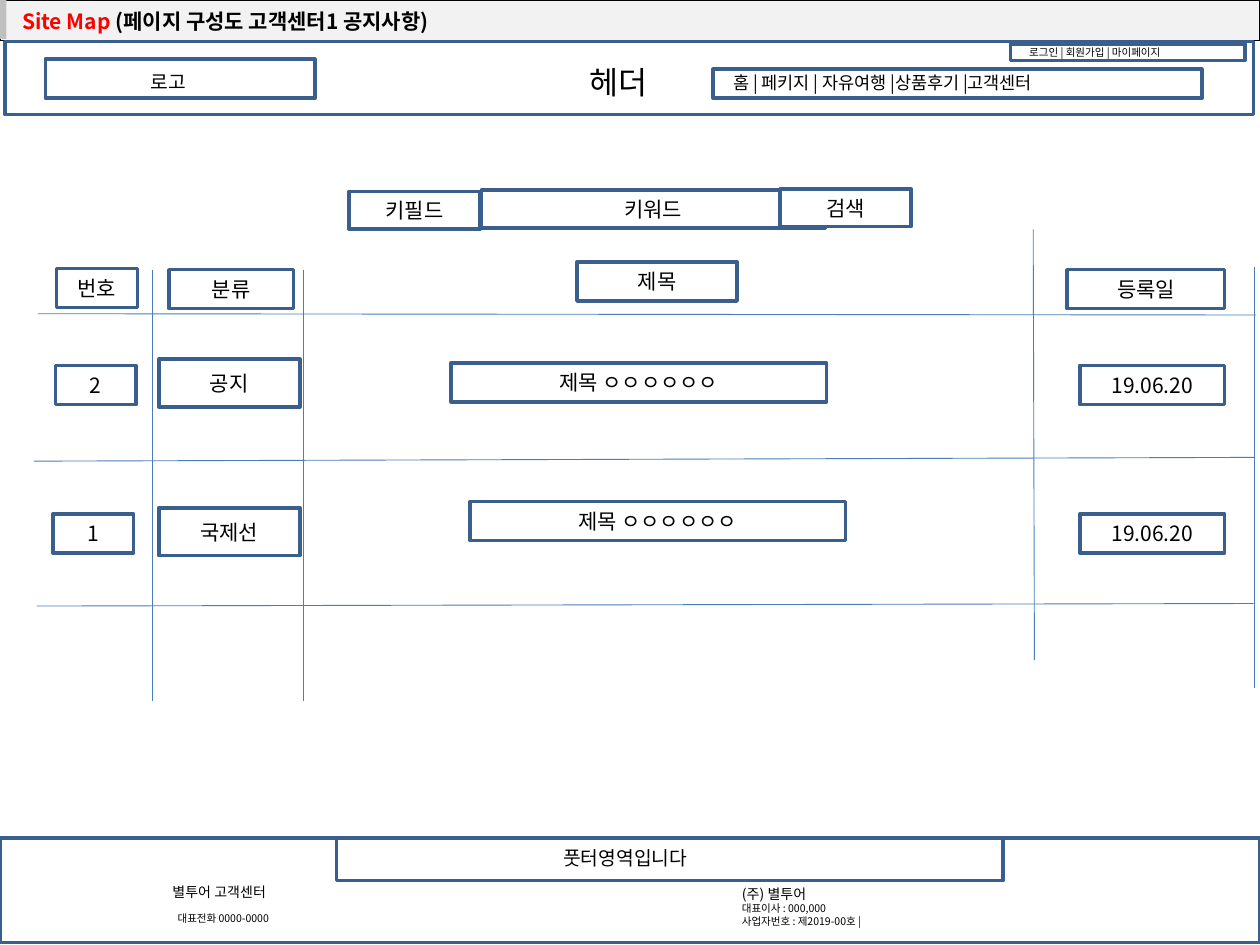
import pptx
import pptx.util
import pptx.dml.color
import pptx.enum.shapes
import pptx.enum.text
import pptx.oxml.ns
from lxml import etree

RGB = pptx.dml.color.RGBColor
BLACK = RGB(0, 0, 0)
WHITE = RGB(255, 255, 255)
RED = RGB(255, 0, 0)
PALE = RGB(0xF2, 0xF2, 0xF2)
GRAY = RGB(0xBF, 0xBF, 0xBF)
NAVY = RGB(0x3A, 0x5F, 0x8C)
BLUE = RGB(0x4A, 0x7E, 0xBB)

FONT = "Noto Sans CJK KR"
COLS, ROWS = 100, 75
Pt = pptx.util.Pt
ALIGN = pptx.enum.text.PP_ALIGN
ANCHOR = pptx.enum.text.MSO_ANCHOR
RECT = pptx.enum.shapes.MSO_SHAPE.RECTANGLE
STRAIGHT = pptx.enum.shapes.MSO_CONNECTOR.STRAIGHT
qn = pptx.oxml.ns.qn


class Page:
    """Style and current slide; places are in grid columns and rows."""

    def __init__(self, deck):
        self.wide, self.high = deck.slide_width, deck.slide_height
        self.slide = deck.slides.add_slide(deck.slide_layouts[6])
        self.top = self.home = self.slide.shapes

    def group(self):
        """Send the elements that follow into a new group."""
        self.home = self.top.add_group_shape().shapes

    def leave(self):
        """Send the elements that follow to the slide itself."""
        self.home = self.top

    def grid(self, *nums):
        sides = (self.wide / COLS, self.high / ROWS)
        return [round(n * sides[i % 2]) for i, n in enumerate(nums)]

    def run(self, para, text, size, color=BLACK, bold=False):
        run = para.add_run()
        run.text = text
        font = run.font
        font.size, font.bold, font.name = Pt(size), bold, FONT
        font.color.rgb = color
        east = etree.SubElement(run._r.get_or_add_rPr(), qn("a:ea"))
        east.set("typeface", FONT)

    def rect(self, place, fill=None, line=NAVY, width=2):
        box = self.home.add_shape(RECT, *self.grid(*place))
        box.shadow.inherit = False
        if fill is None:
            box.fill.background()
        else:
            box.fill.solid()
            box.fill.fore_color.rgb = fill
        if line is None:
            box.line.fill.background()
        else:
            box.line.color.rgb = line
            box.line.width = Pt(width)
        return box

    def cell(self, place, text):
        """A framed box with centred text."""
        frame = self.rect(place, WHITE).text_frame
        frame.word_wrap = True
        frame.vertical_anchor = ANCHOR.MIDDLE
        para = frame.paragraphs[0]
        para.alignment = ALIGN.CENTER
        self.run(para, text, 12)

    def text(self, place, lines, wrap=True, edge=False):
        """Left-aligned (text, size) lines, with a thin white edge if asked."""
        if edge:
            box = self.rect(place, None, WHITE, 0.75)
        else:
            box = self.home.add_textbox(*self.grid(*place))
        frame = box.text_frame
        frame.word_wrap = wrap
        frame.vertical_anchor = ANCHOR.TOP
        for i, (words, size) in enumerate(lines):
            para = frame.add_paragraph() if i else frame.paragraphs[0]
            para.alignment = ALIGN.LEFT
            self.run(para, words, size)
        return frame

    def line(self, *ends):
        rule = self.home.add_connector(STRAIGHT, *self.grid(*ends))
        rule.line.color.rgb = BLUE
        rule.line.width = Pt(0.5)
        etree.SubElement(rule._element.spPr, qn("a:effectLst"))

    def banner(self, place, parts):
        """A one-cell table that carries the slide's heading."""
        table = self.home.add_table(1, 1, *self.grid(*place)).table
        cell = table.cell(0, 0)
        cell.margin_left = self.grid(1.75)[0]
        cell.margin_top = cell.margin_bottom = self.grid(0, 0.3)[1]
        cell.vertical_anchor = ANCHOR.MIDDLE
        for words, color in parts:
            self.run(cell.text_frame.paragraphs[0], words, 12, color, True)
        props = cell._tc.get_or_add_tcPr()
        for side in ("lnL", "lnR", "lnT", "lnB"):
            edge = etree.SubElement(props, qn("a:" + side), w=str(Pt(0.75)))
            paint = etree.SubElement(edge, qn("a:solidFill"))
            etree.SubElement(paint, qn("a:srgbClr"), val=str(BLACK))
        cell.fill.solid()
        cell.fill.fore_color.rgb = PALE


def header(page):
    page.banner((0, 0, 100, 3.2), [
        ("Site Map ", RED), ("(페이지 구성도 고객센터1 공지사항)", BLACK)])
    page.rect((0, 0, 0.5, 3.1), GRAY, None)
    page.group()
    page.text((80.7, 3.2, 17.9, 2),
              [("로그인 | 회원가입 | 마이페이지", 6)], edge=True)
    page.rect((0.4, 3.3, 99.1, 5.8))
    page.text((45.8, 4.5, 7, 4), [("헤더", 18)], wrap=False, edge=True)
    page.rect((3.6, 4.7, 21.4, 3.1))
    page.rect((56.6, 5.5, 38.8, 2.3))
    page.text((11, 5.1, 5, 2.8), [("로고", 11)], wrap=False)
    page.text((57.2, 5.2, 40.5, 2.7),
              [("홈 | 페키지 | 자유여행 |상품후기 |고객센터", 10)])
    page.rect((80.2, 3.5, 18.6, 1.3))
    page.leave()


def footer(page):
    page.group()
    page.rect((26.7, 66.5, 52.9, 3.4))
    page.text((43.7, 66.7, 13.2, 2.8), [("풋터영역입니다", 11)], edge=True)
    page.rect((0, 66.5, 100, 8.3))
    phone = page.text((12.7, 69.6, 20.3, 4.3), [
        ("별투어 고객센터", 8), ("대표전화 0000-0000", 6)]).paragraphs[1]
    phone.space_before = Pt(7)
    phone._p.get_or_add_pPr().set("marL", str(Pt(3)))
    page.text((57.9, 69.8, 29.4, 4.3), [
        ("(주) 별투어", 8), ("대표이사 : 000,000", 6),
        ("사업자번호 : 제2019-00호 |", 6)])
    page.leave()


def board(page):
    """Notice list: rules, column heads and one row of boxes per notice."""
    for ends in ((3, 24.9, 99.7, 25), (2.7, 36.6, 99.6, 36.3),
                 (2.9, 48.1, 99.5, 47.9), (12.1, 21.4, 12.1, 55.6),
                 (24.1, 21.4, 24.1, 55.6), (82, 18.2, 82.1, 52.4),
                 (99.6, 21.2, 99.6, 54.6)):
        page.line(*ends)
    heads = ((4.5, 21.3, 6.4, "번호"), (13.4, 21.4, 9.9, "분류"),
             (45.8, 20.8, 12.7, "제목"), (84.7, 21.4, 12.5, "등록일"))
    for left, top, width, name in heads:
        page.cell((left, top, width, 3.1), name)
    notices = ((28.5, 4.4, 29, "2", "공지", 35.8, 28.8),
               (40.3, 4.2, 40.8, "1", "국제선", 37.3, 39.8))
    for top, left, mid, num, kind, start, high in notices:
        page.cell((left, mid, 6.4, 3.1), num)
        page.cell((12.6, top, 11.2, 3.8), kind)
        page.cell((start, high, 29.8, 3.1), "제목 ㅇㅇㅇㅇㅇㅇ")
        page.cell((85.7, mid, 11.5, 3.1), "19.06.20")


def search(page):
    for left, top, width, name in ((27.7, 15.2, 10.4, "키필드"),
                                   (38.2, 15.1, 27.3, "키워드"),
                                   (61.9, 15, 10.4, "검색")):
        page.cell((left, top, width, 3), name)


def main():
    deck = pptx.Presentation()
    deck.slide_width = pptx.util.Inches(10)
    deck.slide_height = pptx.util.Inches(7.5)
    page = Page(deck)
    for part in (header, footer, board, search):
        part(page)
    deck.save("out.pptx")


if __name__ == "__main__":
    main()
